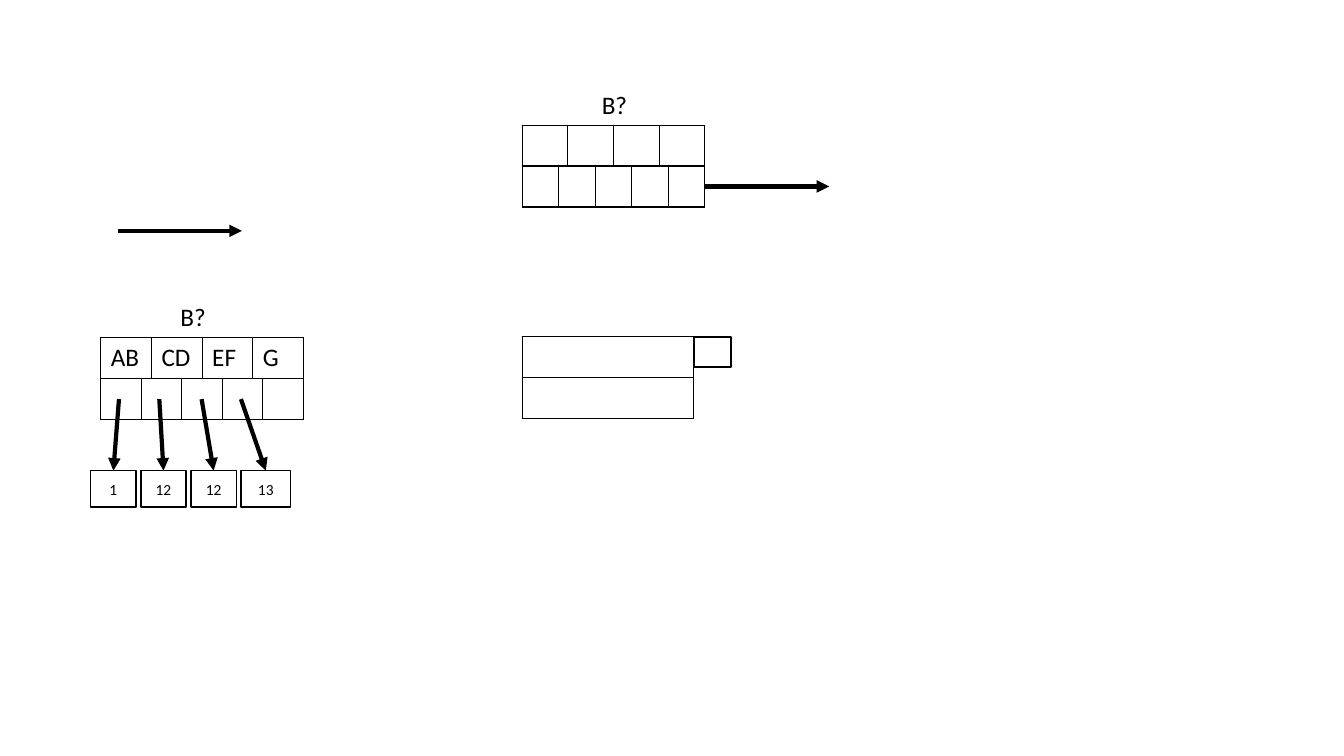
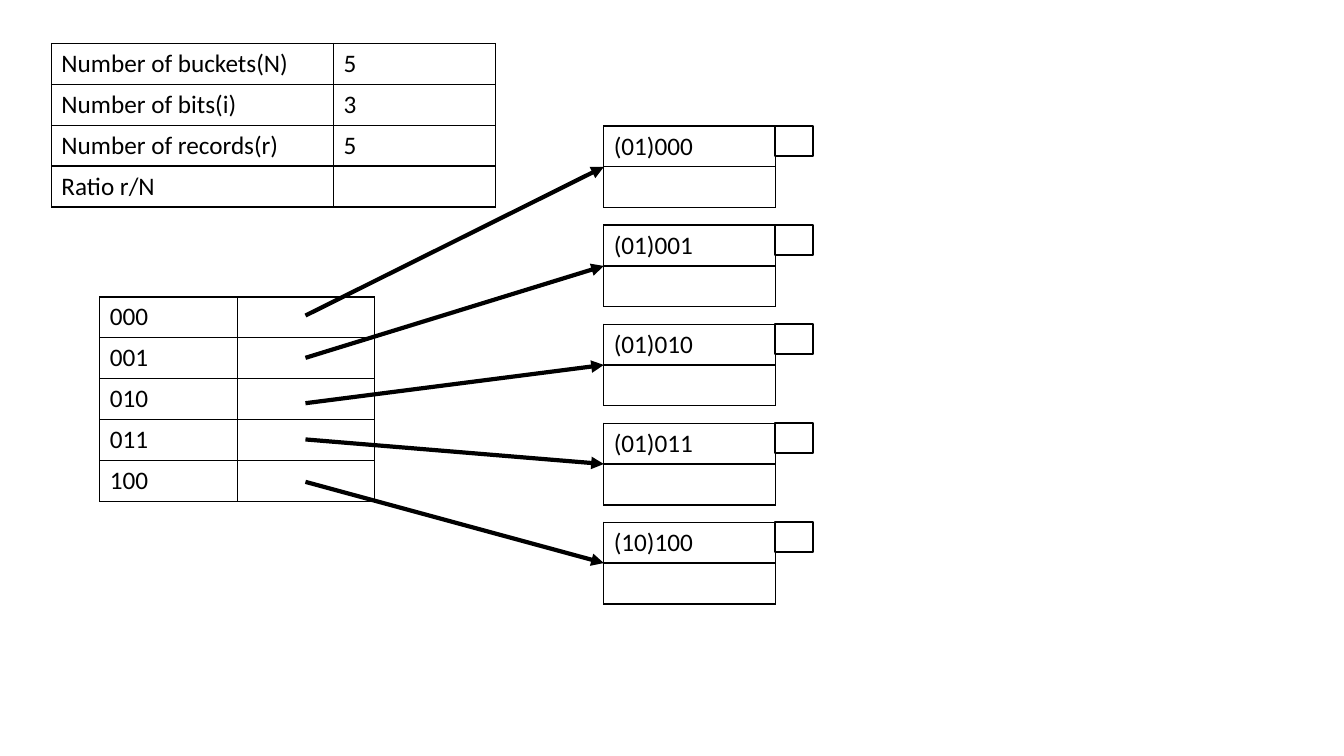
from dataclasses import dataclass

from lxml import etree
from pptx import Presentation
from pptx.dml.color import RGBColor
from pptx.enum.shapes import MSO_CONNECTOR, MSO_SHAPE
from pptx.enum.text import MSO_ANCHOR, MSO_AUTO_SIZE, PP_ALIGN
from pptx.oxml.ns import qn
from pptx.util import Pt

RECT = MSO_SHAPE.RECTANGLE
STRAIGHT = MSO_CONNECTOR.STRAIGHT
MIDDLE = MSO_ANCHOR.MIDDLE
CENTER = PP_ALIGN.CENTER
FIT_SHAPE = MSO_AUTO_SIZE.SHAPE_TO_FIT_TEXT
TOP_SITE = 0


@dataclass(frozen=True)
class Theme:
    """Colours, type sizes and line widths shared by both slides."""
    ink: str = "000000"
    paper: str = "FFFFFF"
    font: str = "Calibri"
    body: float = 18
    small: float = 11
    grid: float = 1
    flag: float = 1.5
    arrow: float = 3
    row: float = 29.2


THEME = Theme()
INK = RGBColor.from_string(THEME.ink)
PAPER = RGBColor.from_string(THEME.paper)


def style_text(tf, size):
    """Give every run of a text frame the theme font and colour."""
    for p in tf.paragraphs:
        for r in p.runs:
            r.font.name = THEME.font
            r.font.size = Pt(size)
            r.font.color.rgb = INK


def border_cell(cell):
    """Draw a thin line on all four sides of a cell."""
    tc_pr = cell._tc.get_or_add_tcPr()
    for side in ("a:lnL", "a:lnR", "a:lnT", "a:lnB"):
        ln = etree.SubElement(tc_pr, qn(side), w=str(Pt(THEME.grid)))
        fill = etree.SubElement(ln, qn("a:solidFill"))
        etree.SubElement(fill, qn("a:srgbClr"), val=THEME.ink)


def add_grid(s, x, y, widths, rows):
    """Add a plain bordered table; rows holds the cell texts."""
    frame = s.shapes.add_table(len(rows), len(widths), Pt(x), Pt(y),
                               Pt(sum(widths)), Pt(THEME.row * len(rows)))
    table = frame.table
    table.first_row = table.horz_banding = False
    for column, width in zip(table.columns, widths):
        column.width = Pt(width)
    for i, texts in enumerate(rows):
        table.rows[i].height = Pt(THEME.row)
        for j, text in enumerate(texts):
            cell = table.cell(i, j)
            border_cell(cell)
            cell.fill.background()
            if text:
                cell.text_frame.text = text
                style_text(cell.text_frame, THEME.body)


def add_box(s, x, y, w, h, line, text="", filled=False):
    """Add an outlined rectangle with centred small text."""
    sp = s.shapes.add_shape(RECT, Pt(x), Pt(y), Pt(w), Pt(h))
    sp.shadow.inherit = False
    if filled:
        sp.fill.solid()
        sp.fill.fore_color.rgb = PAPER
    else:
        sp.fill.background()
    sp.line.color.rgb = INK
    sp.line.width = Pt(line)
    if text:
        tf = sp.text_frame
        tf.text = text
        tf.vertical_anchor = MIDDLE
        tf.paragraphs[0].alignment = CENTER
        style_text(tf, THEME.small)
    return sp


def add_label(s, x, y, w, text):
    """Add a one-line text box."""
    tf = s.shapes.add_textbox(Pt(x), Pt(y), Pt(w), Pt(THEME.row)).text_frame
    tf.word_wrap = True
    tf.auto_size = FIT_SHAPE
    tf.text = text
    style_text(tf, THEME.body)


def add_arrow(s, x1, y1, x2, y2):
    """Add a heavy line with a triangular head at its end."""
    arrow = s.shapes.add_connector(STRAIGHT, Pt(x1), Pt(y1), Pt(x2), Pt(y2))
    arrow.line.color.rgb = INK
    arrow.line.width = Pt(THEME.arrow)
    etree.SubElement(arrow.line._get_or_add_ln(), qn("a:tailEnd"),
                     type="triangle")
    etree.SubElement(arrow._element.spPr, qn("a:effectLst"))
    return arrow


def add_bucket(s, x, y, key=""):
    """Add a two-row bucket with its overflow flag at the top right."""
    width = 122.4
    add_grid(s, x, y, [width], [[key], [""]])
    add_box(s, x + width, y, 27, 21.6, THEME.flag, filled=True)


def add_node(s, x, y, width, keys):
    """Add a tree node: a label, a row of keys and a row of pointers."""
    pointers = len(keys) + 1
    add_grid(s, x, y + THEME.row, [width / pointers] * pointers,
             [[""] * pointers])
    add_grid(s, x, y, [width / len(keys)] * len(keys), [keys])
    add_label(s, x + 49.8, y - 29.3, 66, "B?")


def build_tree_slide(s):
    """Tree nodes, their leaves and an empty bucket."""
    add_arrow(s, 84.2, 164.9, 172.8, 164.9)
    add_node(s, 373, 89.4, 130.4, [""] * 4)
    add_arrow(s, 503.3, 133.2, 592.3, 133.2)
    add_node(s, 72, 241.2, 144.8, ["AB", "CD", "EF", "G"])

    leaves = [("1", 32.4, 85), ("12", 32.4, 113.8),
              ("12", 32.4, 144), ("13", 35.3, 172.1)]
    leaf_top = 336.2
    for i, (text, width, start) in enumerate(leaves):
        leaf = add_box(s, 64.8 + 35.8 * i, leaf_top, width, 26,
                       THEME.grid, text)
        arrow = add_arrow(s, start, 285.1, start, leaf_top)
        arrow.end_connect(leaf, TOP_SITE)

    add_bucket(s, 373, 240.5)


def build_hash_slide(s):
    """Linear hash table with its directory and buckets."""
    add_grid(s, 71.3, 212.1, [98.2, 98.2],
             [[key, ""] for key in ("000", "001", "010", "011", "100")])
    add_grid(s, 36.7, 31, [201.6, 115.9], [
        ["Number of buckets(N)", "5"],
        ["Number of bits(i)", "3"],
        ["Number of records(r)", "5"],
        ["Ratio r/N", ""],
    ])

    bucket_left, first_top, pitch = 431.3, 90, 70.75
    buckets = [("(01)000", 225.4), ("(01)001", 255.6), ("(01)010", 288),
               ("(01)011", 313.9), ("(10)100", 344.2)]
    for i, (key, _) in enumerate(buckets):
        add_bucket(s, bucket_left, first_top + pitch * i, key)
    for i, (_, start) in enumerate(buckets):
        add_arrow(s, 218.2, start,
                  bucket_left, first_top + pitch * i + THEME.row)


def main():
    """Build both slides and save the file."""
    prs = Presentation()
    prs.slide_width, prs.slide_height = Pt(960), Pt(540)
    blank = prs.slide_layouts[6]
    for build in (build_tree_slide, build_hash_slide):
        build(prs.slides.add_slide(blank))
    prs.save("out.pptx")


main()
